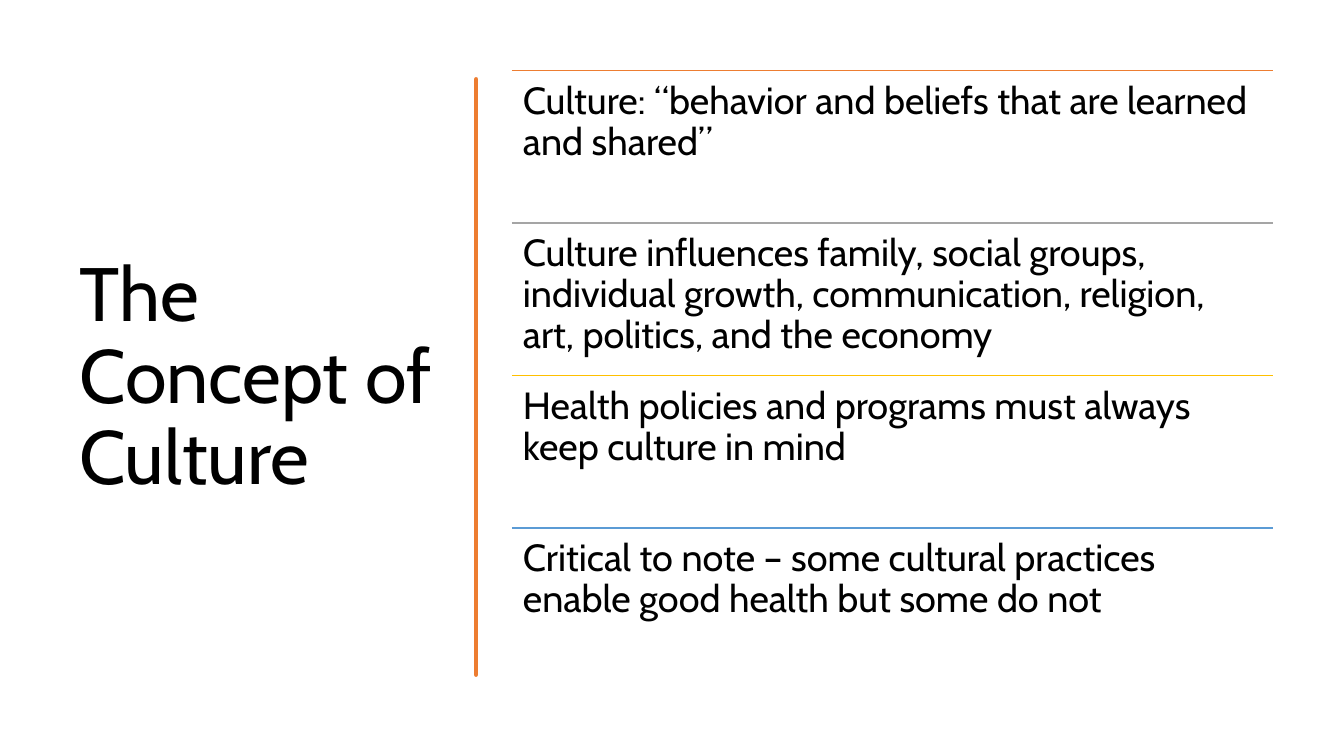
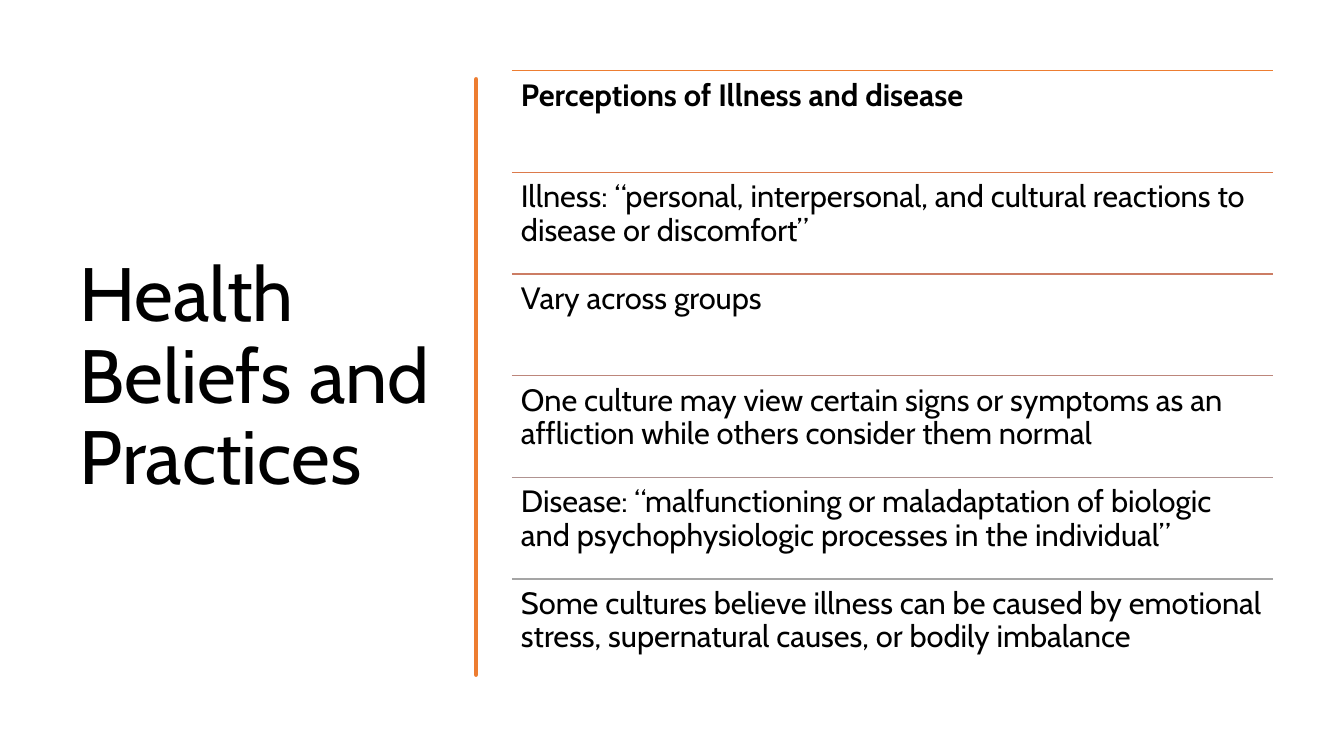
import pptx
import pptx.dml.color
import pptx.enum.shapes
import pptx.enum.text
import pptx.oxml
import pptx.oxml.ns
import pptx.util
from pptx.dml.color import RGBColor
from pptx.util import Cm

BLACK = RGBColor(0x00, 0x00, 0x00)
ORANGE = RGBColor(0xED, 0x7D, 0x31)
GRAY = RGBColor(0xA5, 0xA5, 0xA5)
GOLD = RGBColor(0xFF, 0xC0, 0x00)
BLUE = RGBColor(0x5B, 0x9B, 0xD5)
ORANGE_TO_GRAY = [
    ORANGE,
    RGBColor(0xDC, 0x7A, 0x4B),
    RGBColor(0xCC, 0x7D, 0x64),
    RGBColor(0xBD, 0x86, 0x7B),
    RGBColor(0xB0, 0x93, 0x91),
    GRAY,
]
FONT = "Cabin"
TITLE_ONLY = 5

LIST_LEFT, LIST_TOP = 12.9, 1.78
LIST_WIDTH, LIST_HEIGHT = 19.18, 15.37

# Outline of the hand-drawn stroke in centimetres: down the right edge, up the left.
STROKE_RIGHT = [
    (12.07, 2.13), (12.1, 2.8), (12.07, 3.71), (12.04, 4.7), (12.07, 5.74),
    (12.05, 6.6), (12.07, 7.47), (12.1, 8.4), (12.07, 9.04), (12.09, 10.0),
    (12.07, 11.07), (11.98, 12.0), (12.07, 12.95), (12.12, 13.85),
    (12.07, 14.83), (12.04, 16.0), (12.07, 17.17),
]
STROKE_LEFT = [
    (12.01, 17.17), (11.99, 16.4), (12.01, 15.57), (12.03, 14.8),
    (12.01, 14.15), (11.99, 13.1), (12.01, 12.12), (11.98, 11.3),
    (12.01, 10.54), (12.0, 9.5), (12.01, 8.51), (12.0, 7.4), (12.01, 6.35),
    (12.04, 5.5), (12.01, 4.6), (11.98, 4.0), (12.02, 3.2), (12.01, 2.13),
]


def style_paragraph(para, size, bold=False):
    para.line_spacing = 0.9
    para.alignment = pptx.enum.text.PP_ALIGN.LEFT
    para.font.name = FONT
    para.font.size = pptx.util.Pt(size)
    para.font.bold = bold
    para.font.color.rgb = BLACK


def set_title(page, text):
    title = page.shapes.title
    title.left, title.top = Cm(1.75), Cm(1.78)
    title.width, title.height = Cm(9.5), Cm(15.52)
    frame = title.text_frame
    frame.text = text
    frame.word_wrap = True
    frame.auto_size = pptx.enum.text.MSO_AUTO_SIZE.NONE
    frame.vertical_anchor = pptx.enum.text.MSO_ANCHOR.MIDDLE
    style_paragraph(frame.paragraphs[0], 54)


def add_stroke(page):
    """Draw the wavy vertical stroke between title and list."""
    start, *rest = STROKE_RIGHT + STROKE_LEFT
    builder = page.shapes.build_freeform(*start, scale=Cm(1))
    builder.add_line_segments(rest, close=True)
    stroke = builder.convert_to_shape()
    stroke.shadow.inherit = False
    stroke.fill.solid()
    stroke.fill.fore_color.rgb = ORANGE
    stroke.line.color.rgb = ORANGE
    stroke.line.width = pptx.util.Pt(3.25)
    stroke.line._get_or_add_ln().append(pptx.oxml.parse_xml(
        f'<a:round {pptx.oxml.ns.nsdecls("a")}/>'))


def add_rule(page, top, color):
    rule = page.shapes.add_connector(
        pptx.enum.shapes.MSO_CONNECTOR.STRAIGHT,
        Cm(LIST_LEFT), Cm(top), Cm(LIST_LEFT + LIST_WIDTH), Cm(top))
    rule.line.color.rgb = color
    rule.line.width = pptx.util.Pt(1)
    rule._element.spPr.append(pptx.oxml.parse_xml(
        f'<a:effectLst {pptx.oxml.ns.nsdecls("a")}/>'))


def add_item(page, top, height, text, size, inset, bold):
    box = page.shapes.add_textbox(
        Cm(LIST_LEFT), Cm(top), Cm(LIST_WIDTH), Cm(height))
    frame = box.text_frame
    frame.word_wrap = True
    frame.margin_left = frame.margin_right = Cm(inset)
    frame.margin_top = frame.margin_bottom = Cm(inset)
    frame.text = text
    style_paragraph(frame.paragraphs[0], size, bold)


def add_ruled_list(page, items, colors, size, inset, bold_first=False):
    """Stack the items in rows of equal height, each under a coloured rule."""
    height = LIST_HEIGHT / len(items)
    for row, (text, color) in enumerate(zip(items, colors)):
        top = LIST_TOP + row * height
        add_rule(page, top, color)
        add_item(page, top, height, text, size, inset, bold_first and row == 0)


def add_page(deck, title):
    page = deck.slides.add_slide(deck.slide_layouts[TITLE_ONLY])
    set_title(page, title)
    add_stroke(page)
    return page


def main():
    deck = pptx.Presentation()
    deck.slide_width, deck.slide_height = Cm(33.87), Cm(19.05)

    page = add_page(deck, "The Concept of Culture")
    add_ruled_list(page, [
        "Culture: “behavior and beliefs that are learned and shared”",
        "Culture influences family, social groups, individual growth, "
        "communication, religion, art, politics, and the economy",
        "Health policies and programs must always keep culture in mind",
        "Critical to note – some cultural practices enable good health "
        "but some do not",
    ], [ORANGE, GRAY, GOLD, BLUE], size=27, inset=0.28)

    page = add_page(deck, "Health Beliefs and Practices")
    add_ruled_list(page, [
        "Perceptions of Illness and disease",
        "Illness: “personal, interpersonal, and cultural reactions to "
        "disease or discomfort”",
        "Vary across groups",
        "One culture may view certain signs or symptoms as an affliction "
        "while others consider them normal",
        "Disease: “malfunctioning or maladaptation of biologic and "
        "psychophysiologic processes in the individual”",
        "Some cultures believe illness can be caused by emotional stress, "
        "supernatural causes, or bodily imbalance",
    ], ORANGE_TO_GRAY, size=22, inset=0.23, bold_first=True)

    deck.save("out.pptx")


if __name__ == "__main__":
    main()
